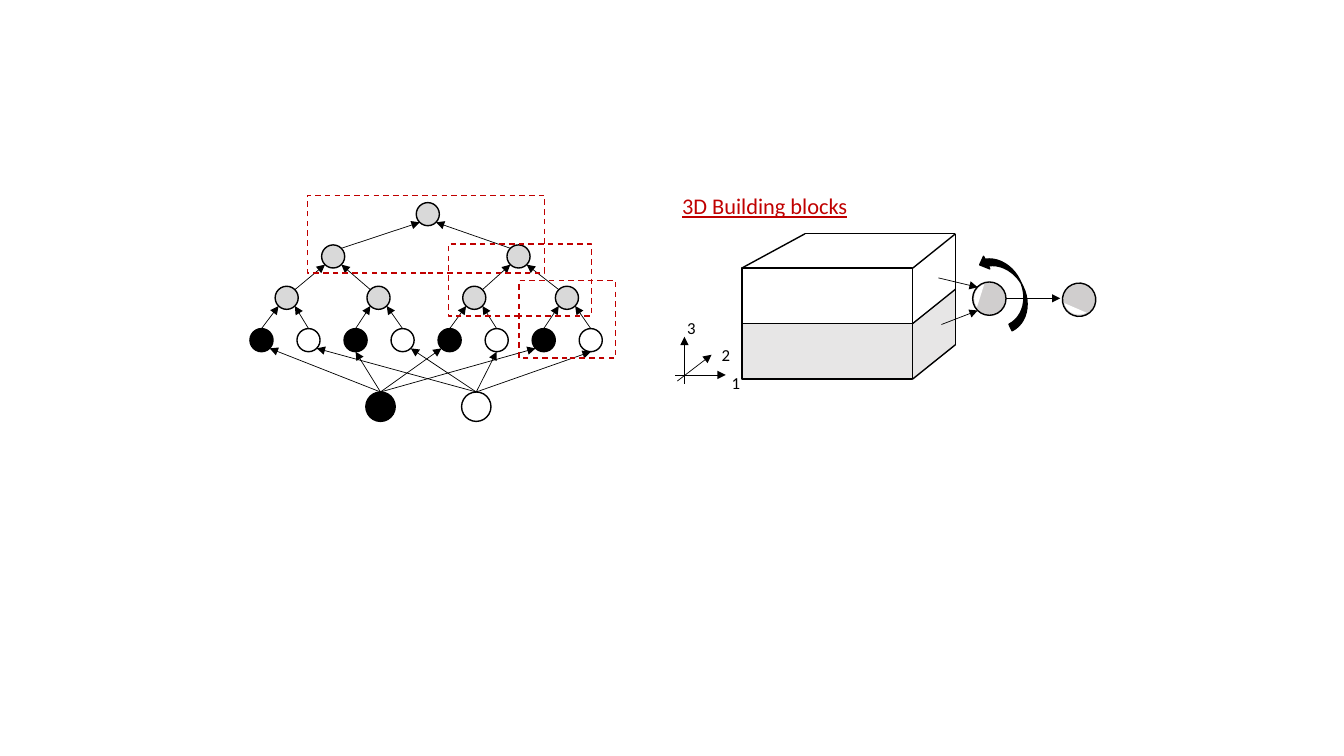
from math import sqrt
from lxml import etree
from pptx import Presentation
from pptx.dml.color import RGBColor
from pptx.enum.dml import MSO_LINE as DASH
from pptx.enum.shapes import MSO_CONNECTOR as CONN, MSO_SHAPE as SHAPE
from pptx.oxml.ns import qn
from pptx.util import Pt

BLACK, WHITE, RED = "000000", "FFFFFF", "C00000"
GREY, PALE, DARK = "D9D9D9", "E7E6E6", "D0CECE"
DIAM = 16.5


def paint(color, value):
    """Set a colour format from a hex string."""
    color.rgb = RGBColor.from_string(value)


def add_form(slide, kind, box, fill=None, line=BLACK, adjust=(), turn=0):
    form = slide.shapes.add_shape(kind, *map(Pt, box))
    form.shadow.inherit = False
    form.rotation = turn
    for i, value in enumerate(adjust):
        form.adjustments[i] = value
    if fill:
        form.fill.solid()
        paint(form.fill.fore_color, fill)
    else:
        form.fill.background()
    if line:
        paint(form.line.color, line)
        form.line.width = Pt(1)
    else:
        form.line.fill.background()
    return form


def add_node(slide, center, fill, diam=DIAM):
    x, y = center
    add_form(slide, SHAPE.OVAL, (x - diam / 2, y - diam / 2, diam, diam), fill)


def add_line(slide, start, end, width=1):
    line = slide.shapes.add_connector(CONN.STRAIGHT, *map(Pt, (*start, *end)))
    paint(line.line.color, BLACK)
    line.line.width = Pt(width)
    etree.SubElement(line.element.spPr, qn("a:effectLst"))
    return line


def add_arrow(slide, start, end):
    line = add_line(slide, start, end, 0.5)
    etree.SubElement(line.line._get_or_add_ln(), qn("a:tailEnd"), type="triangle")


def add_label(slide, text, box, color=BLACK, wrap=True, **style):
    label = slide.shapes.add_textbox(*map(Pt, box))
    label.text_frame.word_wrap = wrap
    para = label.text_frame.paragraphs[0]
    run = para.add_run()
    run.text = text
    for name, value in {"name": "Calibri", "size": Pt(12), **style}.items():
        setattr(run.font, name, value)
    paint(run.font.color, color)


def rim(center, side, down):
    """Point on a node's rim: side -1, 0 or 1; down -1 (top) or 1 (bottom)."""
    reach = DIAM / 2 / (sqrt(2) if side else 1)
    return center[0] + side * reach, center[1] + down * reach


def add_tree(slide):
    leaves = [(186.8 + 33.6 * i, 243) for i in range(8)]
    mids = [(x, 212.75) for x in (204.8, 270.4, 338.8, 405)]
    uppers = [(238, 183.2), (370.4, 183.2)]
    root = [(305.6, 153)]
    inputs = [(271.8, 290.5), (340.2, 290.5)]
    for i, leaf in enumerate(leaves):
        add_node(slide, leaf, WHITE if i % 2 else BLACK)
    for node in mids + uppers + root:
        add_node(slide, node, GREY)
    for node, fill in zip(inputs, (BLACK, WHITE)):
        add_node(slide, node, fill, 21)

    for lower, higher in ((uppers, root), (mids, uppers), (leaves, mids)):
        for i, child in enumerate(lower):
            side = -1 if i % 2 else 1
            start = rim(child, 0 if lower is leaves else side, -1)
            add_arrow(slide, start, rim(higher[i // 2], -side, 1))

    sides = ((1, 0, -1, -1), (1, 1, 0, 0))
    for i, (x, y) in enumerate(inputs):
        for leaf, side in zip(leaves[i::2], sides[i]):
            add_arrow(slide, (x, y - 10.5), rim(leaf, side, 1))

    for box in ((370.8, 200.4, 69, 55.4), (320.2, 174.4, 102.2, 51.4),
                (219.5, 139.5, 169.4, 55.5)):
        frame = add_form(slide, SHAPE.RECTANGLE, box, line=RED)
        frame.line.dash_style = DASH.DASH


def add_disc(slide, x, y, turn):
    """Draw a circle that is half white and half grey."""
    add_form(slide, SHAPE.OVAL, (x, y, 23.8, 23.8), DARK, turn=turn + 180)
    chord = [angle * 0.6 for angle in (54.431, 160.691)]
    add_form(slide, SHAPE.CHORD, (x + 1, y + 1, 21.6, 21.6), WHITE, None,
             chord, turn)


def add_block(slide):
    left, right, top, high = 529.9, 652, 191.5, 39.6
    back, rise = 682.5, 24.5
    add_disc(slide, 694.8, 201.4, 90)
    add_form(slide, SHAPE.PARALLELOGRAM, (635.8, 223.9, 63.4, 30.2), PALE,
             None, [0.808], 321.1)
    for i, fill in enumerate((WHITE, PALE)):
        add_form(slide, SHAPE.RECTANGLE,
                 (left, top + i * high, right - left, high), fill)

    for start, end in (((483.8, 272.2), (508.3, 253.4)),
                       ((482.4, 267.8), (518.4, 267.8)),
                       ((488.9, 274.3), (488.9, 240.5))):
        add_arrow(slide, start, end)
    for text, x, y in (("1", 515.5, 262.8), ("2", 508.3, 242.6),
                       ("3", 483.8, 223.2)):
        add_label(slide, text, (x, y, 17.3, 21.6))

    swirl = add_form(slide, SHAPE.CURVED_LEFT_ARROW, (709.2, 177.1, 20.9, 57.6),
                     BLACK, adjust=(0.25, 0.481, 0.25), turn=333.8)
    swirl.element.spPr.find(qn("a:xfrm")).set("flipV", "1")

    ridge = top - rise
    add_line(slide, (575, ridge), (back, ridge))
    add_line(slide, (left, top), (575, ridge))
    for i in range(3):
        y = top + i * high
        add_line(slide, (right, y), (back, y - rise))
    add_line(slide, (back, ridge + 2 * high), (back, ridge))

    for start, end in (((670.3, 198.5), (698.4, 205.2)),
                       ((672.5, 231.8), (698.4, 221.8)),
                       ((718.6, 213.1), (757.4, 213.1))):
        add_arrow(slide, start, end)
    add_disc(slide, 758.9, 202.2, 5.8)


def main():
    deck = Presentation()
    deck.slide_width, deck.slide_height = Pt(960), Pt(540)
    slide = deck.slides.add_slide(deck.slide_layouts[6])
    add_tree(slide)
    add_label(slide, "3D Building blocks", (480.2, 133.9, 133.9, 26.6), RED,
              False, size=Pt(16), underline=True)
    add_block(slide)
    deck.save("out.pptx")


if __name__ == "__main__":
    main()
